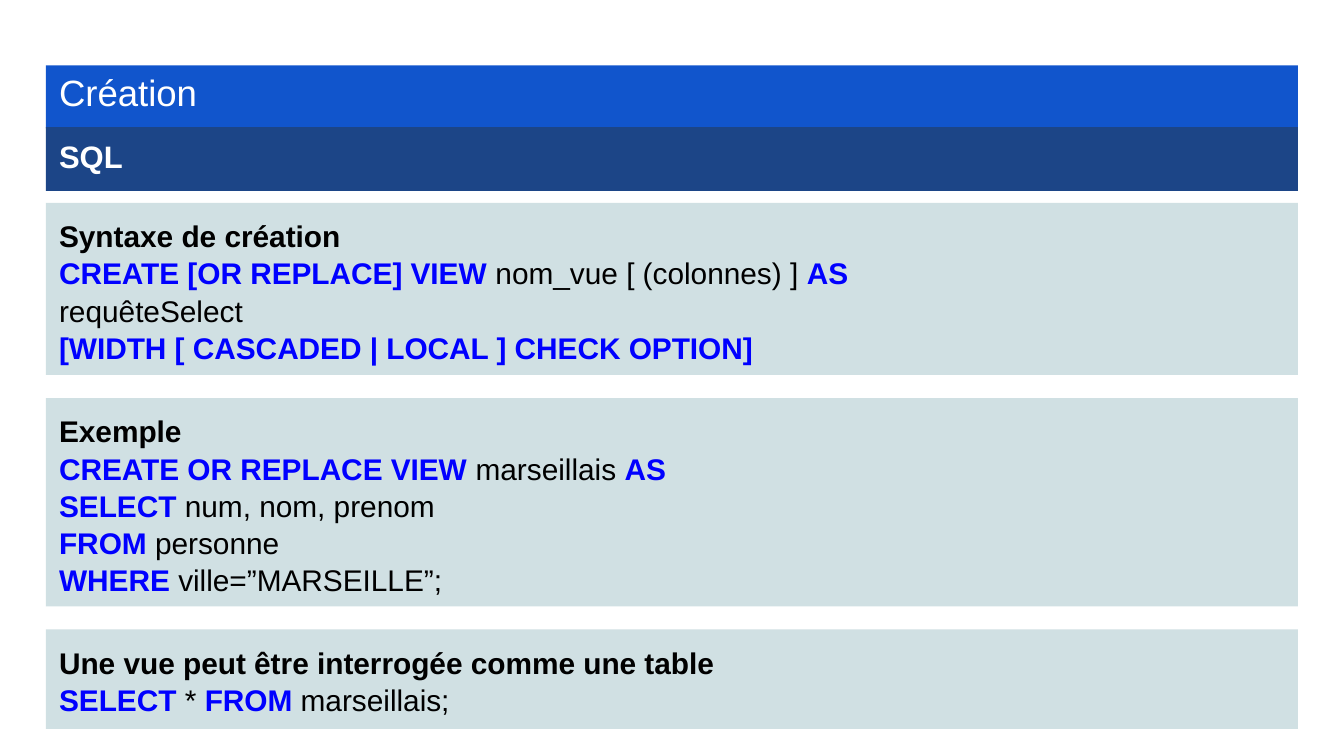
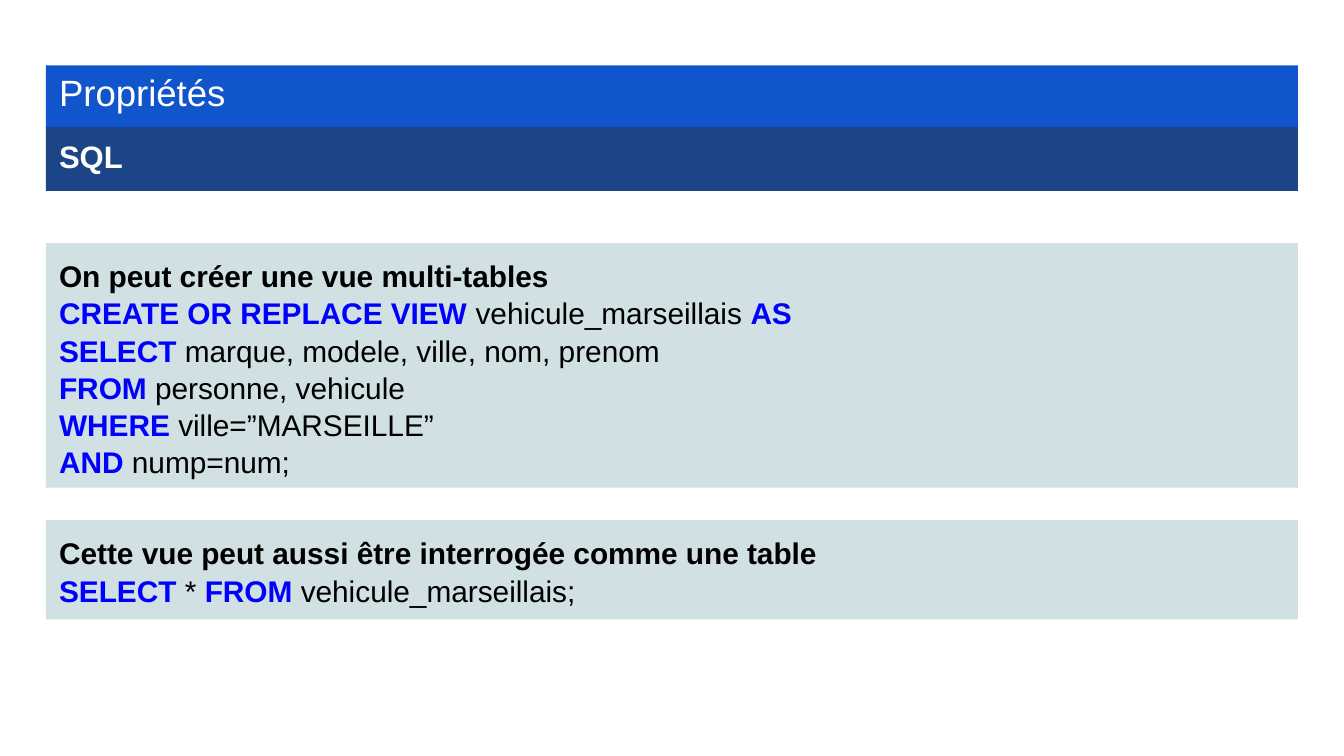
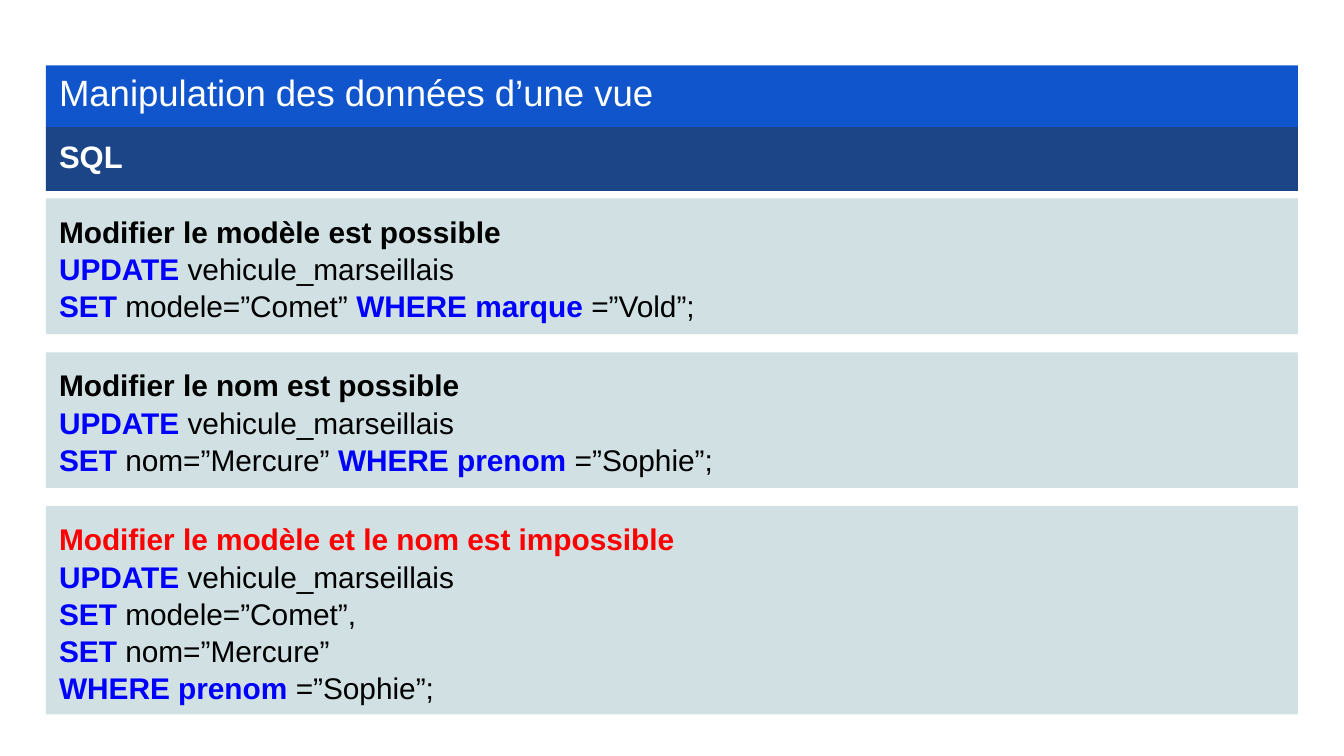
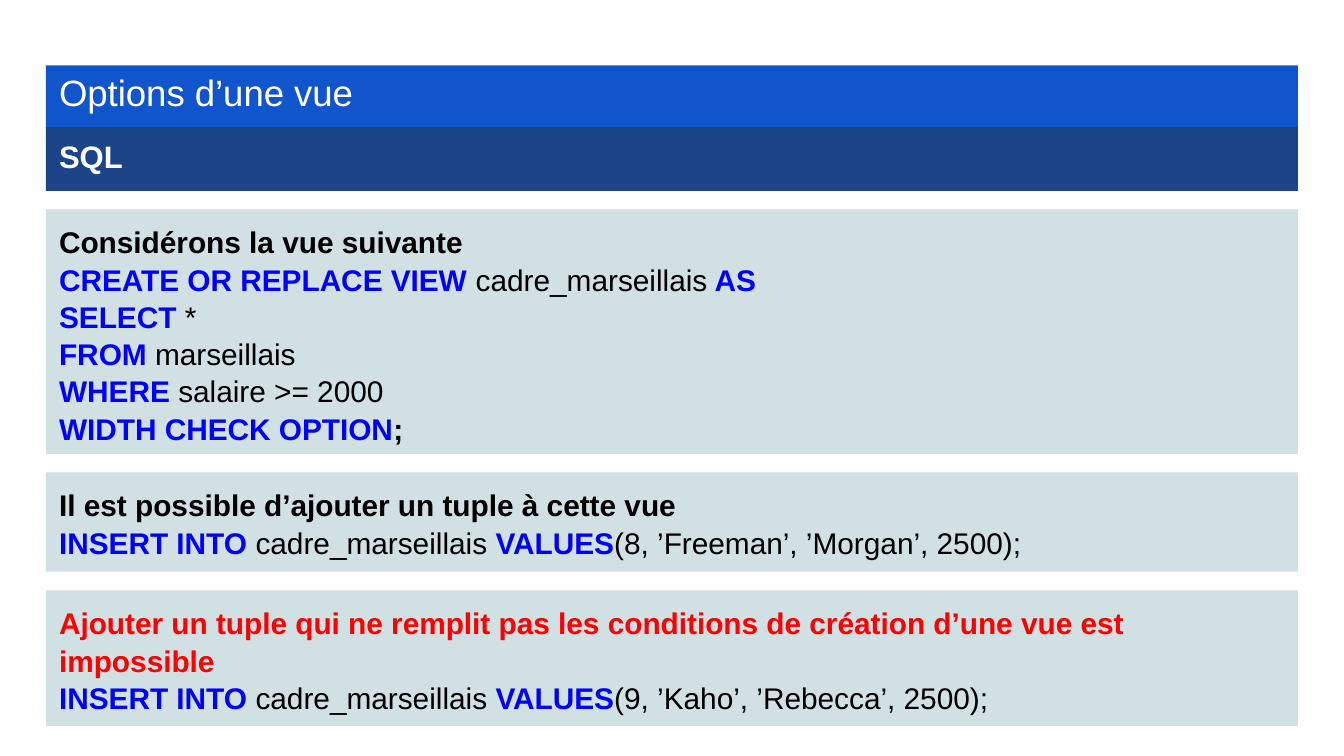
from pptx import Presentation
from pptx.dml.color import RGBColor
from pptx.enum.shapes import MSO_SHAPE
from pptx.enum.text import MSO_ANCHOR, PP_ALIGN
from pptx.util import Pt

RECT = MSO_SHAPE.RECTANGLE
TOP = MSO_ANCHOR.TOP
LEFT = PP_ALIGN.LEFT

HEX = {"title": "1155CC", "topic": "1C4587", "block": "D0E0E3",
       "white": "FFFFFF", "black": "000000", "key": "0000FF", "warn": "FF0000"}

# The first character of a piece of text picks its style; "~" parts the pieces.
MARKS = {
    "#": {"size": 16, "bold": True, "color": "black"},
    "!": {"size": 16, "bold": True, "color": "warn"},
    "@": {"size": 16, "bold": True, "color": "key"},
    "1": {"size": 19.6, "bold": False, "color": "white"},
    "2": {"size": 16.6, "bold": True, "color": "white"},
}
PLAIN = {"size": 16, "bold": False, "color": "black"}

EDGE, WIDE, INSET = 24.6, 670.8, 7.2
BAND_TOP, BAND_TALL = 35.1, 33.8
SUB_TOP, SUB_TALL = 68.1, 34.2
LINE = 19.44

DECK = [
    {"title": "Création", "top": 108.7, "gap": 12.4, "blocks": [
        ["#Syntaxe de création",
         "@CREATE [OR REPLACE] VIEW~ nom_vue [ (colonnes) ] ~@AS",
         "requêteSelect",
         "@[WIDTH [ CASCADED | LOCAL ] CHECK OPTION]"],
        ["#Exemple",
         "@CREATE OR REPLACE VIEW~ marseillais ~@AS",
         "@SELECT~ num, nom, prenom",
         "@FROM~ personne",
         "@WHERE ~ville=”MARSEILLE”;"],
        ["#Une vue peut être interrogée comme une table",
         "@SELECT~ * ~@FROM~ marseillais;"],
    ]},
    {"title": "Propriétés", "top": 130.2, "gap": 17.4, "blocks": [
        ["#On peut créer une vue multi-tables",
         "@CREATE OR REPLACE VIEW~ vehicule_marseillais ~@AS",
         "@SELECT~ marque, modele, ville, nom, prenom",
         "@FROM~ personne, vehicule",
         "@WHERE ~ville=”MARSEILLE”",
         "@AND ~nump=num;"],
        ["#Cette vue peut aussi être interrogée comme une table",
         "@SELECT~ * ~@FROM ~vehicule_marseillais;"],
    ]},
    {"title": "Manipulation des données d’une vue", "top": 106.3, "gap": 9.7,
     "blocks": [
        ["#Modifier le modèle est possible",
         "@UPDATE~ vehicule_marseillais",
         "@SET~ modele=”Comet” ~@WHERE marque ~=”Vold”;"],
        ["#Modifier le nom est possible",
         "@UPDATE~ vehicule_marseillais",
         "@SET~ nom=”Mercure” ~@WHERE prenom ~=”Sophie”;"],
        ["!Modifier le modèle et le nom est impossible",
         "@UPDATE~ vehicule_marseillais",
         "@SET~ modele=”Comet”,",
         "@SET~ nom=”Mercure”",
         "@WHERE prenom ~=”Sophie”;"],
    ]},
    {"title": "Options d’une vue", "top": 112.1, "gap": 9.9, "blocks": [
        ["#Considérons la vue suivante",
         "@CREATE OR REPLACE VIEW ~cadre_marseillais~@ AS",
         "@SELECT~ *",
         "@FROM~ marseillais",
         "@WHERE ~salaire >= 2000",
         "@WIDTH CHECK OPTION~#;"],
        ["#Il est possible d’ajouter un tuple à cette vue",
         "@INSERT INTO ~cadre_marseillais~@ VALUES"
         "~(8, ’Freeman’, ’Morgan’, 2500);"],
        ["!Ajouter un tuple qui ne remplit pas les conditions"
         " de création d’une vue est",
         "!impossible",
         "@INSERT INTO ~cadre_marseillais~@ VALUES"
         "~(9, ’Kaho’, ’Rebecca’, 2500);"],
    ]},
]


def add_runs(para, line):
    """Write one marked line as styled runs."""
    for part in line.split("~"):
        style = MARKS.get(part[0], PLAIN)
        run = para.add_run()
        run.text = part[1:] if part[0] in MARKS else part
        look = {"name": "Arial", "size": Pt(style["size"]), "bold": style["bold"]}
        for key, value in look.items():
            setattr(run.font, key, value)
        run.font.color.rgb = RGBColor.from_string(HEX[style["color"]])


def add_box(slide, top, tall, fill, lines, **form):
    """Add a full-width box; form holds paragraph settings."""
    box = slide.shapes.add_shape(RECT, Pt(EDGE), Pt(top), Pt(WIDE), Pt(tall))
    box.shadow.inherit = False
    box.fill.solid()
    box.fill.fore_color.rgb = RGBColor.from_string(HEX[fill])
    box.line.fill.background()
    frame = box.text_frame
    frame.word_wrap = True
    frame.vertical_anchor = TOP
    for side in ("left", "top", "right", "bottom"):
        setattr(frame, "margin_" + side, Pt(INSET))
    for num, line in enumerate(lines):
        para = frame.add_paragraph() if num else frame.paragraphs[0]
        for key, value in {"alignment": LEFT, **form}.items():
            setattr(para, key, value)
        add_runs(para, line)


deck = Presentation()
deck.slide_width, deck.slide_height = Pt(720), Pt(405)
blank = deck.slide_layouts[6]

for page in DECK:
    slide = deck.slides.add_slide(blank)
    add_box(slide, BAND_TOP, BAND_TALL, "title", ["1" + page["title"]],
            line_spacing=0.8)
    add_box(slide, SUB_TOP, SUB_TALL, "topic", ["2SQL"],
            line_spacing=0.95, space_after=Pt(12))
    top = page["top"]
    for lines in page["blocks"]:
        tall = 2 * INSET + LINE * len(lines)
        add_box(slide, top, tall, "block", lines, line_spacing=1.04)
        top += tall + page["gap"]

deck.save("out.pptx")
